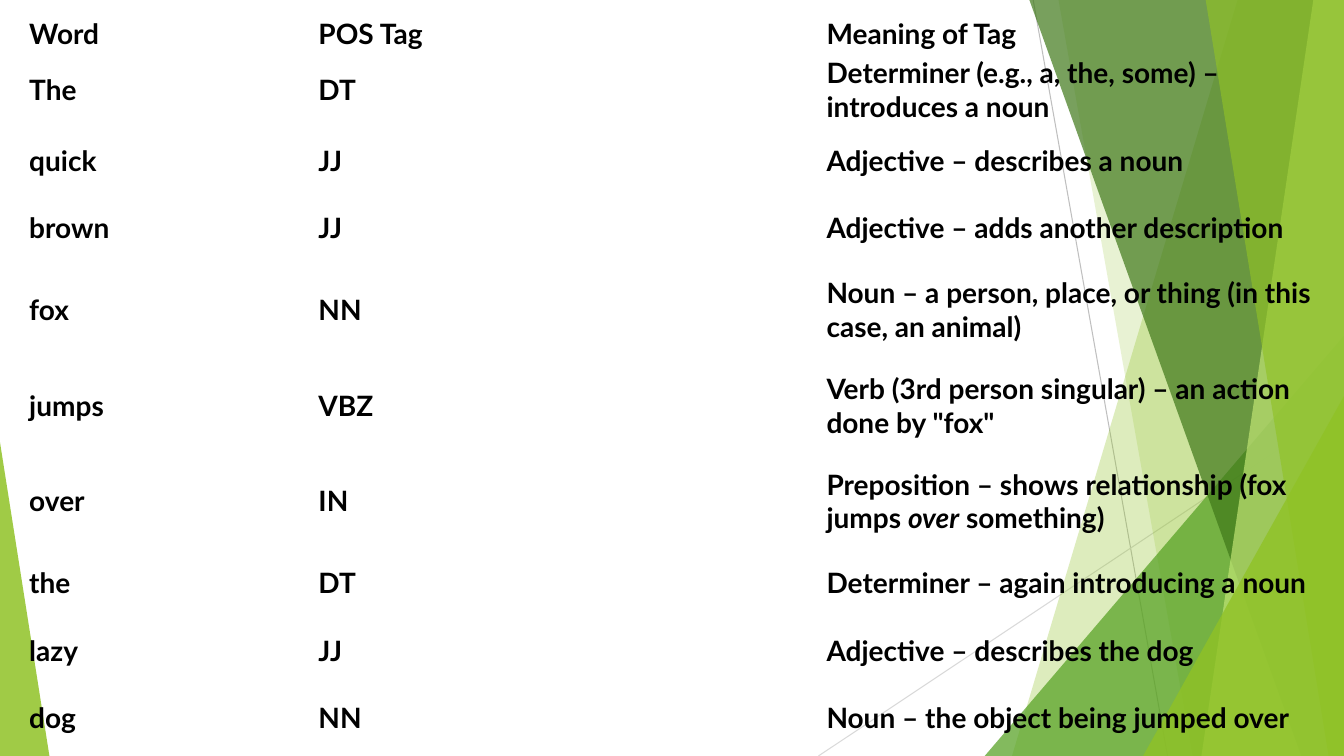
from dataclasses import dataclass

from lxml import etree
from pptx import Presentation
from pptx.dml.color import RGBColor
from pptx.enum.shapes import MSO_CONNECTOR, MSO_SHAPE
from pptx.enum.text import MSO_ANCHOR
from pptx.oxml.ns import qn
from pptx.shapes.autoshape import Shape
from pptx.slide import Slide
from pptx.table import _Cell
from pptx.util import Pt

STRAIGHT = MSO_CONNECTOR.STRAIGHT
TRIANGLE = MSO_SHAPE.ISOSCELES_TRIANGLE
MIDDLE = MSO_ANCHOR.MIDDLE

WIDTH, HEIGHT = 960, 540
BLACK = RGBColor(0x00, 0x00, 0x00)
GREEN = RGBColor(0x90, 0xC2, 0x26)
LEAF = RGBColor(0x54, 0xA0, 0x21)
DARK = RGBColor(0x3F, 0x78, 0x19)
LIME = RGBColor(0xC0, 0xE4, 0x74)
GRAY = RGBColor(0xBF, 0xBF, 0xBF)
PALE = RGBColor(0xD9, 0xD9, 0xD9)
FONT = "Lato"
PLAIN_STYLE = "{2D5ABB26-0587-4C30-8999-92F81FD0307C}"


@dataclass
class Ray:
    x1: float
    y1: float
    x2: float
    y2: float
    color: RGBColor


@dataclass
class Shard:
    """A full-height facet on the right edge, given by the ends of its left side."""
    top: float
    foot: float
    color: RGBColor
    alpha: int


@dataclass
class Peak:
    """A triangle standing on the bottom edge; apex runs from 0 (left) to 1 (right)."""
    left: float
    top: float
    width: float
    apex: float
    color: RGBColor
    alpha: int


RAYS = [
    Ray(738, 0, 834, HEIGHT, GRAY),
    Ray(WIDTH, 290, 584.6, HEIGHT, PALE),
]
FACETS = [
    Shard(884.2, 722.9, GREEN, 30),
    Shard(756, 851.8, GREEN, 20),
    Peak(703.4, 239.8, 256.6, 1, LEAF, 72),
    Shard(735.1, 929.5, DARK, 70),
    Shard(938.2, 858.2, LIME, 70),
    Shard(861.1, 949, GREEN, 65),
    Peak(816.5, 283, 143.5, 1, GREEN, 80),
    Peak(0, 316, 35.3, 0, GREEN, 85),
]

LEFT, TOP = 16.6, 9.4
COLS = [206.6, 362.9, 362.9]
HEAD, LOW, TALL = 27.4, 48.2, 68.4
# Asterisks enclose italic words.
ROWS = [
    (HEAD, "Word", "POS Tag", "Meaning of Tag"),
    (LOW, "The", "DT", "Determiner (e.g., a, the, some) – introduces a noun"),
    (LOW, "quick", "JJ", "Adjective – describes a noun"),
    (LOW, "brown", "JJ", "Adjective – adds another description"),
    (TALL, "fox", "NN", "Noun – a person, place, or thing (in this case, an animal)"),
    (TALL, "jumps", "VBZ", "Verb (3rd person singular) – an action done by \"fox\""),
    (TALL, "over", "IN", "Preposition – shows relationship (fox jumps *over* something)"),
    (LOW, "the", "DT", "Determiner – again introducing a noun"),
    (LOW, "lazy", "JJ", "Adjective – describes the dog"),
    (LOW, "dog", "NN", "Noun – the object being jumped over"),
]


def paint(shape: Shape, color: RGBColor, alpha: int) -> None:
    shape.shadow.inherit = False
    shape.line.fill.background()
    shape.fill.solid()
    shape.fill.fore_color.rgb = color
    tint = shape.fill._xPr.find(qn("a:solidFill"))[0]
    etree.SubElement(tint, qn("a:alpha"), val=str(alpha * 1000))


def draw_ray(slide: Slide, ray: Ray) -> None:
    line = slide.shapes.add_connector(
        STRAIGHT, Pt(ray.x1), Pt(ray.y1), Pt(ray.x2), Pt(ray.y2))
    line.line.color.rgb = ray.color
    line.line.width = Pt(0.75)
    etree.SubElement(line._element.spPr, qn("a:effectLst"))


def draw_shard(slide: Slide, shard: Shard) -> None:
    rim = -0.6
    path = slide.shapes.build_freeform(Pt(shard.top), Pt(rim))
    path.add_line_segments([
        (Pt(WIDTH), Pt(rim)),
        (Pt(WIDTH), Pt(HEIGHT)),
        (Pt(shard.foot), Pt(HEIGHT)),
    ])
    paint(path.convert_to_shape(), shard.color, shard.alpha)


def draw_peak(slide: Slide, peak: Peak) -> None:
    shape = slide.shapes.add_shape(
        TRIANGLE, Pt(peak.left), Pt(peak.top), Pt(peak.width), Pt(HEIGHT - peak.top))
    shape.adjustments[0] = peak.apex
    paint(shape, peak.color, peak.alpha)


def fill_cell(cell: _Cell, text: str) -> None:
    cell.fill.background()
    cell.vertical_anchor = MIDDLE
    cell.margin_left = cell.margin_right = Pt(4.3)
    cell.margin_top = cell.margin_bottom = Pt(2.2)
    para = cell.text_frame.paragraphs[0]
    for i, part in enumerate(text.split("*")):
        run = para.add_run()
        run.text = part
        font = run.font
        font.name = FONT
        font.size = Pt(20)
        font.bold = True
        font.italic = i % 2 == 1
        font.color.rgb = BLACK


def draw_table(slide: Slide) -> None:
    high = sum(row[0] for row in ROWS)
    frame = slide.shapes.add_table(
        len(ROWS), len(COLS), Pt(LEFT), Pt(TOP), Pt(sum(COLS)), Pt(high))
    table = frame.table
    table.first_row = table.horz_banding = False
    table._tbl.tblPr.find(qn("a:tableStyleId")).text = PLAIN_STYLE
    for col, width in zip(table.columns, COLS):
        col.width = Pt(width)
    for row, (height, *texts) in zip(table.rows, ROWS):
        row.height = Pt(height)
        for cell, text in zip(row.cells, texts):
            fill_cell(cell, text)


def main() -> None:
    deck = Presentation()
    deck.slide_width, deck.slide_height = Pt(WIDTH), Pt(HEIGHT)
    blank = deck.slide_layouts[6]
    slide = deck.slides.add_slide(blank)
    for ray in RAYS:
        draw_ray(slide, ray)
    for facet in FACETS:
        if isinstance(facet, Shard):
            draw_shard(slide, facet)
        else:
            draw_peak(slide, facet)
    draw_table(slide)
    deck.save("out.pptx")


if __name__ == "__main__":
    main()
